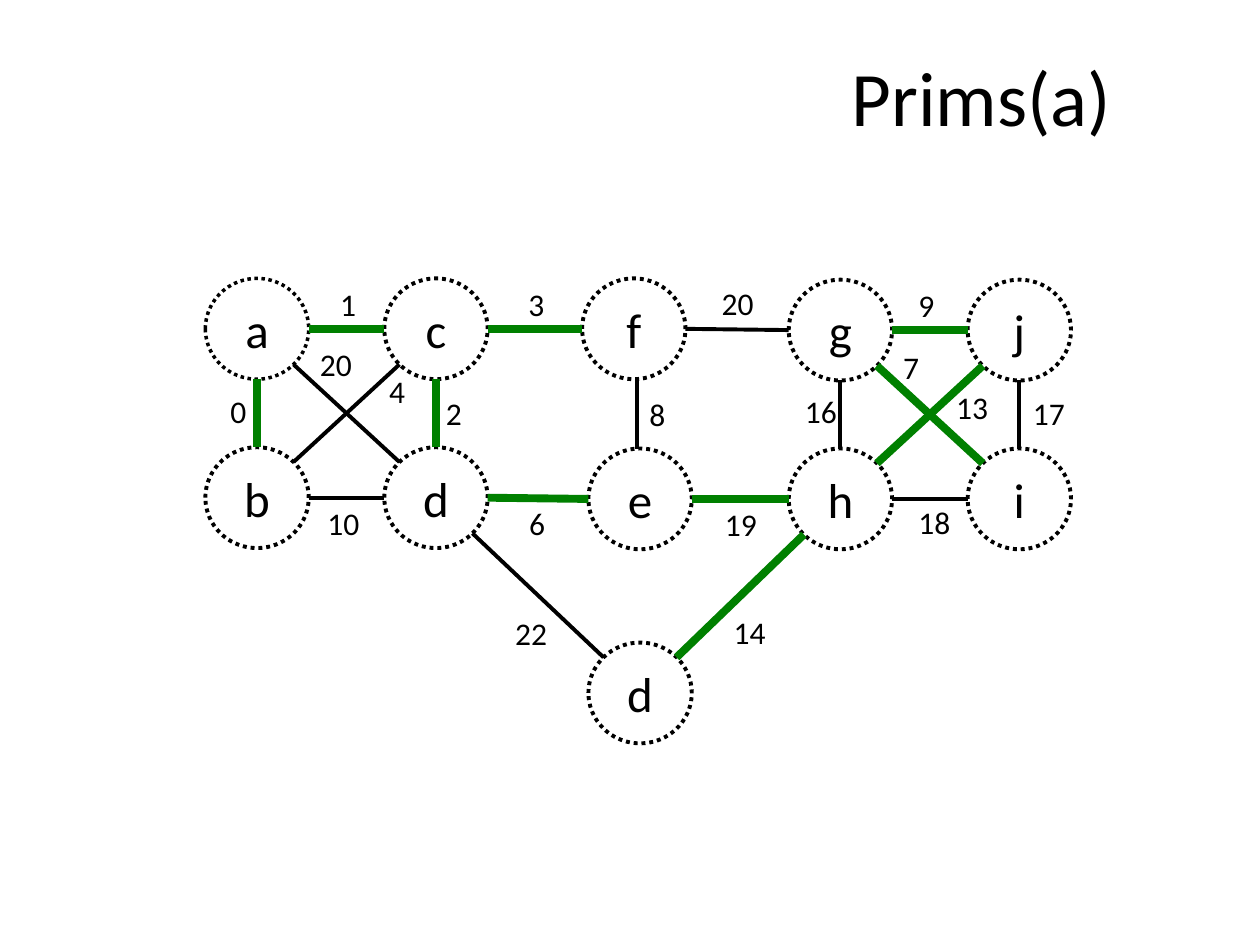
from lxml.etree import SubElement
from pptx import Presentation
from pptx.dml.color import RGBColor
from pptx.enum.dml import MSO_LINE
from pptx.enum.shapes import MSO_CONNECTOR, MSO_SHAPE
from pptx.enum.text import MSO_ANCHOR, PP_ALIGN
from pptx.oxml.ns import qn
from pptx.util import Inches, Pt

COLORS = {"ink": "000000", "paper": "FFFFFF", "tree": "008000"}
FONT = "Calibri"
NODE_W, NODE_H = 0.82, 0.8
LABEL_H = 0.4
DIAGONAL = 0.5 ** 0.5

COLS = [2.04, 3.46, 5.03, 5.08, 6.67, 8.09]
ROWS = [2.61, 2.62, 3.95, 3.96, 5.5]

NODES = {
    "a": ("a", 0, 0), "c": ("c", 1, 0), "f": ("f", 2, 0),
    "g": ("g", 4, 1), "j": ("j", 5, 1),
    "b": ("b", 0, 2), "d": ("d", 1, 2), "e": ("e", 3, 3),
    "h": ("h", 4, 3), "i": ("i", 5, 3),
    "bottom": ("d", 3, 4),
}

# start, end, weight, in tree, label offset from the edge's middle, label width
EDGES = [
    ("a", "c", 1, True, (-0.15, -0.4), 0.31),
    ("a", "d", 20, False, (-0.31, -0.59), 0.46),
    ("c", "b", 4, False, (0.24, -0.38), 0.31),
    ("a", "b", 0, True, (-0.31, -0.22), 0.31),
    ("b", "d", 10, False, (-0.25, 0), 0.55),
    ("c", "d", 2, True, (-0.02, -0.2), 0.42),
    ("g", "j", 9, True, (-0.19, -0.4), 0.6),
    ("g", "i", 7, True, (-0.31, -0.58), 0.6),
    ("j", "h", 13, True, (0.11, -0.26), 0.6),
    ("g", "h", 16, False, (-0.38, -0.23), 0.6),
    ("h", "i", 18, False, (-0.19, -0.02), 0.6),
    ("j", "i", 17, False, (0.01, -0.21), 0.6),
    ("c", "f", 3, True, (-0.15, -0.4), 0.42),
    ("f", "g", 20, False, (-0.22, -0.41), 0.6),
    ("d", "e", 6, True, (-0.17, 0), 0.42),
    ("e", "h", 19, True, (-0.22, 0), 0.6),
    ("f", "e", 8, False, (0, -0.2), 0.42),
    ("d", "bottom", 22, False, (-0.28, 0.1), 0.53),
    ("h", "bottom", 14, True, (-0.15, 0.09), 0.53),
]


def rgb(name):
    return RGBColor.from_string(COLORS[name])


def write(shape, text, size):
    tf = shape.text_frame
    tf.word_wrap = True
    p = tf.paragraphs[0]
    r = p.add_run()
    r.text = str(text)
    for key, value in {"name": FONT, "size": Pt(size)}.items():
        setattr(r.font, key, value)
    r.font.color.rgb = rgb("ink")
    return tf, p


def add_text(s, text, size, *box):
    write(s.shapes.add_textbox(*map(Inches, box)), text, size)


def centre(key):
    name, col, row = NODES[key]
    return COLS[col], ROWS[row]


def add_node(s, key):
    x, y = centre(key)
    sp = s.shapes.add_shape(MSO_SHAPE.OVAL, Inches(x - NODE_W / 2), Inches(y - NODE_H / 2),
                            Inches(NODE_W), Inches(NODE_H))
    sp.shadow.inherit = False
    if key == "a":
        sp.fill.solid()
        sp.fill.fore_color.rgb = rgb("paper")
    else:
        sp.fill.background()
    sp.line.color.rgb = rgb("ink")
    for attr, value in {"width": Pt(2 if key == "a" else 2.25),
                        "dash_style": MSO_LINE.ROUND_DOT}.items():
        setattr(sp.line, attr, value)
    tf, p = write(sp, NODES[key][0], 28)
    tf.vertical_anchor = MSO_ANCHOR.MIDDLE
    p.alignment = PP_ALIGN.CENTER


def sign(v):
    return 0 if abs(v) < 0.1 else (1 if v > 0 else -1)


def add_edge(s, start, end, weight, in_tree, offset, width):
    (x1, y1), (x2, y2) = centre(start), centre(end)
    mid_x, mid_y = (x1 + x2) / 2, (y1 + y2) / 2
    dx, dy = sign(x2 - x1), sign(y2 - y1)
    if dx == 0:
        x1 = x2 = mid_x
    reach = DIAGONAL if dx and dy else 1
    rx, ry = dx * reach * NODE_W / 2, dy * reach * NODE_H / 2
    ends = (x1 + rx, y1 + ry, x2 - rx, y2 - ry)
    line = s.shapes.add_connector(MSO_CONNECTOR.STRAIGHT, *map(Inches, ends))
    line.line.color.rgb = rgb("tree" if in_tree else "ink")
    line.line.width = Pt(4.5 if in_tree else 2.25)
    SubElement(line._element.spPr, qn("a:effectLst"))
    add_text(s, weight, 18, mid_x + offset[0], mid_y + offset[1], width, LABEL_H)


def main():
    prs = Presentation()
    prs.slide_width, prs.slide_height = Inches(10), Inches(7.5)
    s = prs.slides.add_slide(prs.slide_layouts[6])
    for key in NODES:
        add_node(s, key)
    for edge in EDGES:
        add_edge(s, *edge)
    add_text(s, "Prims(a)", 44, 6.66, 0.34, 2.92, 0.84)
    prs.save("out.pptx")


if __name__ == "__main__":
    main()
